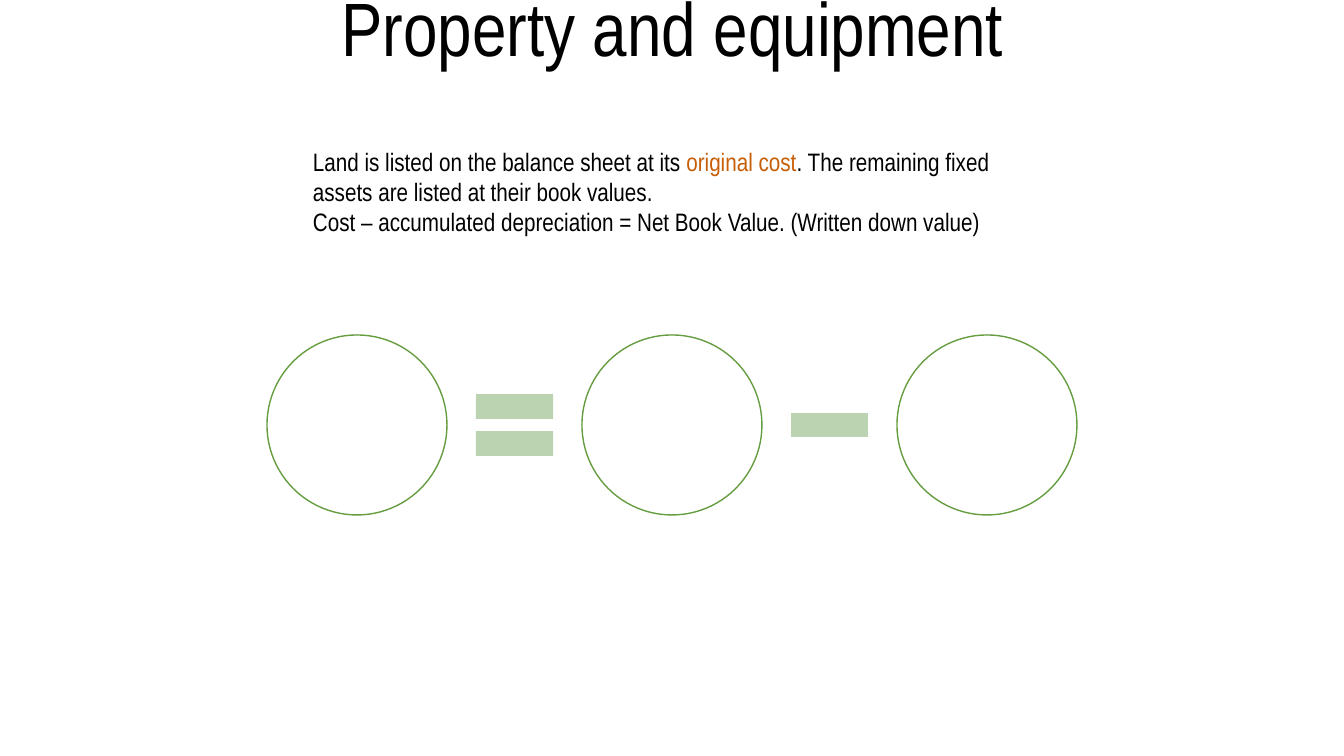
"""Build a slide on how property and equipment are valued."""
from pptx import Presentation
from pptx.dml.color import RGBColor
from pptx.enum.shapes import MSO_SHAPE
from pptx.enum.text import MSO_ANCHOR, MSO_AUTO_SIZE, PP_ALIGN
from pptx.util import Pt

PX = 914400 / 100.8
FONT = "Arial Narrow"
COLORS = {"text": "000000", "accent": "C75F09", "circle": "FFFFFF",
          "outline": "669D40", "operator": "BBD3B1"}
CIRCLE, EQUAL, MINUS = MSO_SHAPE.OVAL, MSO_SHAPE.MATH_EQUAL, MSO_SHAPE.MATH_MINUS
BOTTOM, CENTER, NO_FIT = MSO_ANCHOR.BOTTOM, PP_ALIGN.CENTER, MSO_AUTO_SIZE.NONE


def px(*lengths):
    return [round(length * PX) for length in lengths]


def add_span(para, text, size, color):
    span = para.add_run()
    span.text = text
    span.font.name = FONT
    span.font.size = Pt(size)
    span.font.color.rgb = RGBColor.from_string(COLORS[color])


deck = Presentation()
deck.slide_width, deck.slide_height = px(1344, 756)
page = deck.slides.add_slide(deck.slide_layouts[5])

title = page.shapes.title
title.left, title.top, title.width, title.height = px(196, 72, 953, 95)
frame = title.text_frame
frame.word_wrap = True
frame.auto_size = NO_FIT
frame.vertical_anchor = BOTTOM
frame.margin_top, frame.margin_bottom = px(0, 94)
para = frame.paragraphs[0]
para.alignment = CENTER
para.line_spacing = 0.9
add_span(para, "Property and equipment", 54, "text")

left, middle, gap = 267, 425, 15
for kind in (CIRCLE, EQUAL, CIRCLE, MINUS, CIRCLE):
    size = 180 if kind == CIRCLE else 105
    shape = page.shapes.add_shape(kind, *px(left, middle - size / 2, size, size))
    shape.shadow.inherit = False
    shape.fill.solid()
    if kind == CIRCLE:
        shape.fill.fore_color.rgb = RGBColor.from_string(COLORS["circle"])
        shape.line.color.rgb = RGBColor.from_string(COLORS["outline"])
        shape.line.width = Pt(1)
    else:
        shape.fill.fore_color.rgb = RGBColor.from_string(COLORS["operator"])
        shape.line.fill.background()
    left += size + gap

box = page.shapes.add_textbox(*px(303, 141, 707, 132))
box.text_frame.word_wrap = True
para = box.text_frame.paragraphs[0]
add_span(para, "Land is listed on the balance sheet at its ", 18, "text")
add_span(para, "original cost", 18, "accent")
add_span(para, ". The remaining fixed assets are listed at their book values.", 18, "text")
para = box.text_frame.add_paragraph()
add_span(para, "Cost – accumulated depreciation = Net Book Value. (Written down value)", 18, "text")

deck.save("out.pptx")
